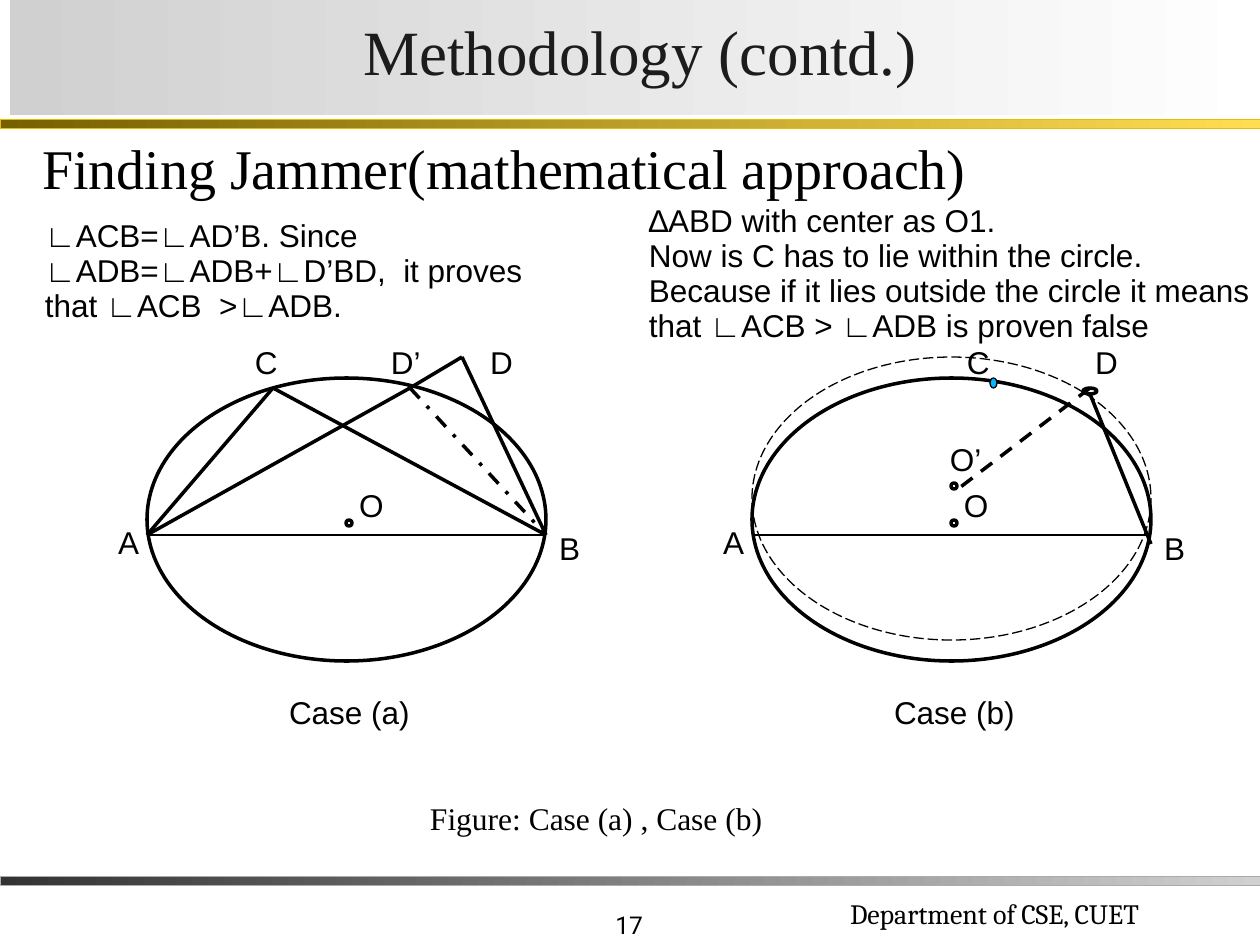
"""Builds the slide that compares two cases of finding a jammer by inscribed angles."""
from pptx import Presentation
from pptx.dml.color import RGBColor
from pptx.enum.dml import MSO_LINE as DASH
from pptx.enum.shapes import MSO_CONNECTOR, MSO_SHAPE as SHAPE
from pptx.enum.text import MSO_ANCHOR as ANCHOR, PP_ALIGN as ALIGN
from pptx.oxml.ns import qn
from pptx.util import Emu, Pt

BLACK = RGBColor(0x00, 0x00, 0x00)
WHITE = RGBColor(0xFF, 0xFF, 0xFF)
INK = RGBColor(0x1C, 0x1C, 0x1C)
CYAN = RGBColor(0x00, 0xB8, 0xFF)
SILVER = RGBColor(0xD0, 0xD0, 0xD0)
CHARCOAL = RGBColor(0x33, 0x33, 0x33)
GRAY = RGBColor(0xAB, 0xAB, 0xAB)
YELLOW = RGBColor(0xFF, 0xDE, 0x53)
BROWN = RGBColor(0x76, 0x60, 0x00)
GOLD = RGBColor(0xE8, 0xBC, 0x00)

SERIF, SANS = "Times New Roman", "Arial"
INSETS, HEADING_INSETS = (13, 6, 13, 6), (0, 4, 0, 0)
THIN, THICK = 0.75, 2
CASE_SHIFT = 605

TITLE = "Methodology (contd.)"
HEADING = "Finding Jammer(mathematical approach)"
FIGURE = "Figure: Case (a) , Case (b)"
ANGLE_PROOF = ["∟ACB=∟AD’B. Since ∟ADB=∟ADB+∟D’BD,  it proves that ∟ACB  >∟ADB."]
CIRCLE_PROOF = [
    "∆ABD with center as O1.",
    "Now is C has to lie within the circle. Because if it lies outside "
    "the circle it means that ∟ACB > ∟ADB is proven false",
]

BARS = [
    ((0, 876, 1260, 9), SILVER, CHARCOAL, GRAY),
    ((0, 119, 1260, 9), YELLOW, BROWN, GOLD),
]

A, B, C, D_PRIME, D = (147, 535), (546, 535), (273, 388), (410, 388), (462, 357)
SHARED_LABELS = [("A", 105, 520), ("B", 546, 526), ("D", 477, 340), ("O", 346, 483)]
CASES = [
    {
        "caption": "Case (a)",
        "labels": [("C", 242, 340), ("D’", 378, 340)],
        "ovals": [],
        "lines": [
            (A, C, None), (C, B, None), (D_PRIME, B, DASH.DASH_DOT),
            (A, D_PRIME, None), (D_PRIME, D, None), (D, B, None),
        ],
    },
    {
        "caption": "Case (b)",
        "labels": [("C", 349, 340), ("O’", 332, 437)],
        "ovals": [
            (SHAPE.OVAL, (147, 357, 399, 283), None, THIN, DASH.LONG_DASH),
            (SHAPE.FLOWCHART_CONNECTOR, (346, 483, 6, 6), WHITE, THICK, None),
            (SHAPE.FLOWCHART_CONNECTOR, (385, 378, 7, 10), CYAN, THIN, None),
            (SHAPE.FLOWCHART_CONNECTOR, (478, 388, 14, 6), WHITE, THICK, None),
        ],
        "lines": [((485, 394), (546, 544), None), ((485, 388), (353, 489), DASH.DASH)],
    },
]


def px(length):
    return Emu(round(length * 914400 / 126))


def write(frame, paragraphs, size=18, font=SANS, color=BLACK, align=None,
          anchor=ANCHOR.TOP, insets=INSETS, spacing=0.93, before=0, indent=0):
    frame.word_wrap = True
    frame.vertical_anchor = anchor
    (frame.margin_left, frame.margin_top,
     frame.margin_right, frame.margin_bottom) = map(px, insets)
    for index, words in enumerate(paragraphs):
        paragraph = frame.paragraphs[0] if index == 0 else frame.add_paragraph()
        paragraph.alignment = align
        paragraph.line_spacing = spacing
        paragraph.space_before = Pt(before)
        if indent:
            paragraph._p.get_or_add_pPr().set("marL", str(px(indent)))
        run = paragraph.add_run()
        run.text = words
        run.font.size = Pt(size)
        run.font.name = font
        run.font.color.rgb = color


def add_text(slide, box, paragraphs, **style):
    textbox = slide.shapes.add_textbox(*map(px, box))
    write(textbox.text_frame, paragraphs, **style)


def shade(fill, right, left):
    fill.gradient()
    fill.gradient_angle = 180
    for stop, color in zip(fill.gradient_stops, (right, left)):
        stop.color.rgb = color


def outline(line, color, width, dash=None):
    line.color.rgb = color
    line.width = Pt(width)
    if dash:
        line.dash_style = dash


def add_oval(slide, kind, box, color, width, dash=None):
    oval = slide.shapes.add_shape(kind, *map(px, box))
    oval.shadow.inherit = False
    if color is None:
        oval.fill.background()
    else:
        oval.fill.solid()
        oval.fill.fore_color.rgb = color
    outline(oval.line, BLACK, width, dash)


def add_line(slide, start, end, width, dash=None):
    segment = slide.shapes.add_connector(MSO_CONNECTOR.STRAIGHT, *map(px, start + end))
    outline(segment.line, BLACK, width, dash)
    properties = segment._element.spPr
    properties.append(properties.makeelement(qn("a:effectLst"), {}))


def add_case(slide, case, shift):
    def moved(point):
        return (point[0] + shift, *point[1:])

    add_oval(slide, SHAPE.OVAL, moved((147, 378, 399, 283)), WHITE, THICK)
    add_line(slide, moved(A), moved(B), THIN)
    add_oval(slide, SHAPE.OVAL, moved((346, 520, 6, 6)), WHITE, THICK)
    for kind, box, color, width, dash in case["ovals"]:
        add_oval(slide, kind, moved(box), color, width, dash)
    for start, end, dash in case["lines"]:
        add_line(slide, moved(start), moved(end), THICK, dash)
    for letter, left, top in SHARED_LABELS + case["labels"]:
        width = 42 if len(letter) == 1 else 60
        add_text(slide, moved((left, top, width, 48)), [letter])
    add_text(slide, moved((215, 690, 247, 48)), [case["caption"]], indent=61)


def main():
    deck = Presentation()
    deck.slide_width, deck.slide_height = px(1260), px(945)
    slide = deck.slides.add_slide(deck.slide_layouts[5])

    title = slide.shapes.title
    title.left, title.top, title.width, title.height = map(px, (10, 0, 1260, 115))
    shade(title.fill, WHITE, SILVER)
    write(title.text_frame, [TITLE], size=36, font=SERIF, color=INK,
          align=ALIGN.CENTER, anchor=ANCHOR.MIDDLE, spacing=0.8)

    add_text(slide, (394, 882, 262, 63), ["17"], size=14, font="Roboto",
             align=ALIGN.RIGHT, anchor=ANCHOR.BOTTOM, spacing=1)
    add_text(slide, (837, 857, 433, 79), ["Department of CSE, CUET"], size=16,
             font="Cambria", anchor=ANCHOR.BOTTOM, spacing=1)
    for box, right, left, edge in BARS:
        bar = slide.shapes.add_shape(SHAPE.RECTANGLE, *map(px, box))
        bar.shadow.inherit = False
        shade(bar.fill, right, left)
        outline(bar.line, edge, 0.25)

    add_text(slide, (42, 136, 927, 73), [HEADING], size=32, font=SERIF,
             insets=HEADING_INSETS, before=5.6)
    add_text(slide, (242, 798, 927, 76), [FIGURE], font=SERIF,
             insets=HEADING_INSETS, before=5.6, indent=188)
    for index, case in enumerate(CASES):
        add_case(slide, case, index * CASE_SHIFT)
    add_text(slide, (32, 213, 564, 118), ANGLE_PROOF)
    add_text(slide, (636, 198, 630, 154), CIRCLE_PROOF)

    deck.save("out.pptx")


if __name__ == "__main__":
    main()
